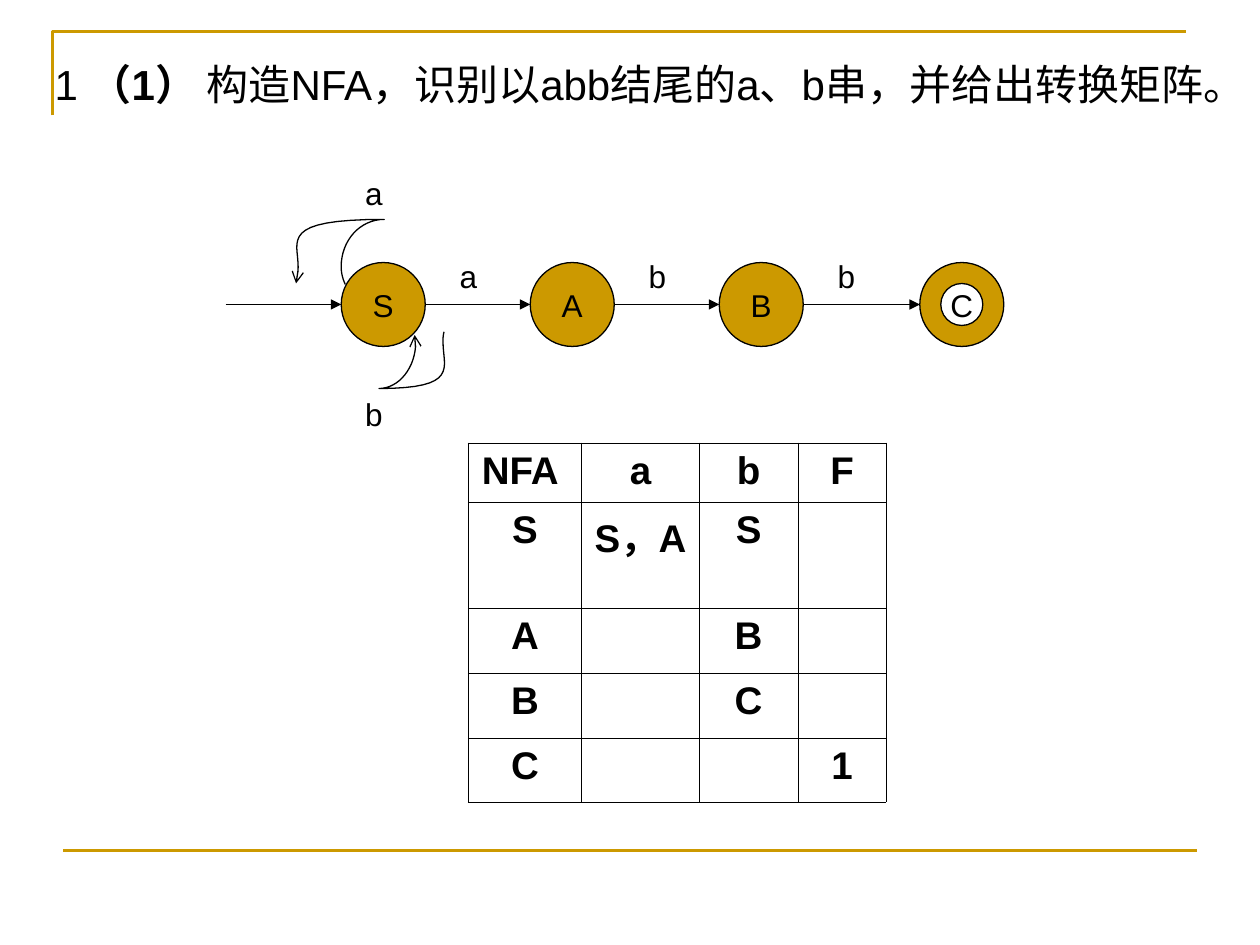
from lxml import etree
from pptx import Presentation, util as u
from pptx.dml.color import RGBColor
from pptx.enum import shapes as sh, text as tx
from pptx.oxml import ns

GOLD = RGBColor(0xCC, 0x99, 0x00)
BLACK = RGBColor(0, 0, 0)
GRID = 12
FONT = {"name": "Arial", "bold": False}
BODY = FONT | {"size": u.Pt(24)}
LABEL = FONT | {"size": u.Pt(18)}
CELL = FONT | {"size": u.Pt(22), "bold": True}
PLAIN = {"first_row": False, "horz_banding": False}
MID = {"word_wrap": False, "vertical_anchor": tx.MSO_ANCHOR.MIDDLE}

LOOP_A = [(11.4, 11.1), (11.1, 10.5), (11, 9.9), (11, 9.4),
          (11, 6.9), (12.8, 4.9), (15.1, 4.9),
          (5.1, 4.9), (6.9, 6.9), (6.9, 9.4),
          (6.9, 9.9), (6.8, 10.5), (6.7, 11)]
LOOP_B = [(18, 15.9), (18.1, 16.2), (18.1, 16.4), (18.1, 16.6),
          (18.1, 19), (16.5, 21), (14.6, 21),
          (22.3, 21), (20.7, 19), (20.7, 16.6),
          (20.7, 16.3), (20.7, 15.9), (20.8, 15.6)]
ROWS = [("NFA ", "a", "b", "F"), ("S", "S，A", "S", ""), ("A", "", "B", ""),
        ("B", "", "C", ""), ("C", "", "", "1")]


def cells(*vals):
    """Turn grid counts into lengths."""
    return [u.Inches(v / GRID) for v in vals]


def put(item, vals):
    """Set each named value on an item."""
    for key, val in vals.items():
        setattr(item, key, val)


def write(para, words, vals, align=None):
    """Add one styled run to a paragraph."""
    run = para.add_run()
    run.text = words
    put(run.font, vals)
    run.font.color.rgb = BLACK
    para.alignment = align


def stroke(item, color, width, **ends):
    """Style a line and give it arrowheads."""
    item.line.color.rgb = color
    item.line.width = u.Pt(width)
    props = item.line._get_or_add_ln()
    for end in ("headEnd", "tailEnd"):
        if end in ends:
            etree.SubElement(props, ns.qn("a:" + end), type=ends[end])


def link(tree, ends, color, width, **heads):
    """Draw a straight line."""
    line = tree.add_connector(sh.MSO_CONNECTOR.STRAIGHT, *cells(*ends))
    stroke(line, color, width, **heads)
    etree.SubElement(line._element.spPr, ns.qn("a:effectLst"))


def trace(tree, spots, color, width, **heads):
    """Draw an open outline through grid points."""
    spots = [cells(*spot) for spot in spots]
    pen = tree.build_freeform(*spots[0])
    pen.add_line_segments(spots[1:], close=False)
    form = pen.convert_to_shape()
    form.shadow.inherit = False
    form.fill.background()
    stroke(form, color, width, **heads)


def bend(spots, steps=16):
    """Sample a chain of cubic curves."""
    path = [spots[0]]
    for i in range(0, len(spots) - 1, 3):
        for n in range(1, steps + 1):
            t = n / steps
            mix = ((1 - t) ** 3, 3 * t * (1 - t) ** 2, 3 * t * t * (1 - t), t ** 3)
            path.append(tuple(sum(m * p[k] for m, p in zip(mix, spots[i:i + 4]))
                              for k in (0, 1)))
    return path


def frame(tree, left, top, wide, high):
    """Draw the corner rule and the foot rule."""
    trace(tree, [(left, top + 8), (left, top), (left + wide, top)], GOLD, 1.5)
    foot = top + high
    link(tree, (left + 1, foot, left + 1 + wide, foot), GOLD, 1.5)


def task(body, *box):
    """Place the question in the body placeholder."""
    put(body, dict(zip(("left", "top", "width", "height"), cells(*box))))
    para = body.text_frame.paragraphs[0]
    para.space_before = u.Pt(6)
    props = para._p.get_or_add_pPr()
    props.set("marL", str(u.Inches(0.38)))
    props.set("indent", str(u.Inches(-0.38)))
    etree.SubElement(props, ns.qn("a:buNone"))
    write(para, "1 ", BODY)
    write(para, "（1） ", BODY | {"bold": True})
    write(para, "构造NFA，识别以abb结尾的a、b串，并给出转换矩阵。", BODY)


def node(tree, name, kind, *box):
    """Draw one state."""
    disc = tree.add_shape(kind, *cells(*box))
    disc.shadow.inherit = False
    disc.fill.solid()
    disc.fill.fore_color.rgb = GOLD
    stroke(disc, BLACK, 0.75)
    put(disc.text_frame, MID)
    write(disc.text_frame.paragraphs[0], name, LABEL, tx.PP_ALIGN.CENTER)


def label(tree, name, left, top, wide):
    """Place the letter of one move."""
    area = tree.add_textbox(*cells(left, top, wide, 4.8)).text_frame
    area.word_wrap = True
    write(area.paragraphs[0], name, LABEL)


def graph(tree, left, top):
    """Draw the automaton with its states, moves and loops."""
    size, axis = 8, top + 13
    xs = [left + x for x in (11, 29, 47, 66.1)]
    for name, x in zip("SABC", xs):
        kind = sh.MSO_SHAPE.DONUT if name == "C" else sh.MSO_SHAPE.FLOWCHART_CONNECTOR
        node(tree, name, kind, x, top + 9, size, size)
    for start, end in zip([left] + [x + size for x in xs], xs):
        link(tree, (start, axis, end, axis), BLACK, 0.75, tailEnd="triangle")
    for spots, heads in ((LOOP_A, {"tailEnd": "arrow"}), (LOOP_B, {"headEnd": "arrow"})):
        path = [(left + x, top + y) for x, y in bend(spots)]
        trace(tree, path, BLACK, 0.75, **heads)
    for name, x in zip("abb", xs):
        label(tree, name, x + 10.1, top + 7.9, 6)
    for name, y in (("a", 0), ("b", 21)):
        label(tree, name, xs[0] + 1.1, top + y, 5)


def edge(cell):
    """Give a cell thin black borders and no fill."""
    cell.fill.background()
    props = cell._tc.get_or_add_tcPr()
    for i, side in enumerate("LRTB"):
        line = etree.Element(ns.qn("a:ln" + side), w=str(u.Pt(0.45)))
        fill = etree.SubElement(line, ns.qn("a:solidFill"))
        etree.SubElement(fill, ns.qn("a:srgbClr"), val=str(BLACK))
        props.insert(i, line)


def matrix(tree, left, top):
    """Place the transition table."""
    wides, highs = (10.8, 11.2, 9.4, 8.4), (5.6, 10.1, 6.2, 6.2, 6.1)
    box = cells(left, top, sum(wides), sum(highs))
    table = tree.add_table(len(highs), len(wides), *box).table
    put(table, PLAIN)
    for col, wide in zip(table.columns, cells(*wides)):
        col.width = wide
    for row, high, names in zip(table.rows, cells(*highs), ROWS):
        row.height = high
        for cell, name in zip(row.cells, names):
            edge(cell)
            if name:
                write(cell.text_frame.paragraphs[0], name, CELL, tx.PP_ALIGN.CENTER)


def main():
    """Build the slide and save it."""
    deck = Presentation()
    put(deck, {"slide_width": u.Inches(10), "slide_height": u.Inches(7.5)})
    slide = deck.slides.add_slide(deck.slide_layouts[1])
    title = slide.shapes.title._element
    title.getparent().remove(title)
    frame(slide.shapes, 5, 3, 108, 78)
    task(slide.placeholders[1], 4, 5, 113, 77.4)
    graph(slide.shapes.add_group_shape().shapes, 21.5, 16)
    matrix(slide.shapes, 44.6, 42.2)
    deck.save("out.pptx")


if __name__ == "__main__":
    main()
